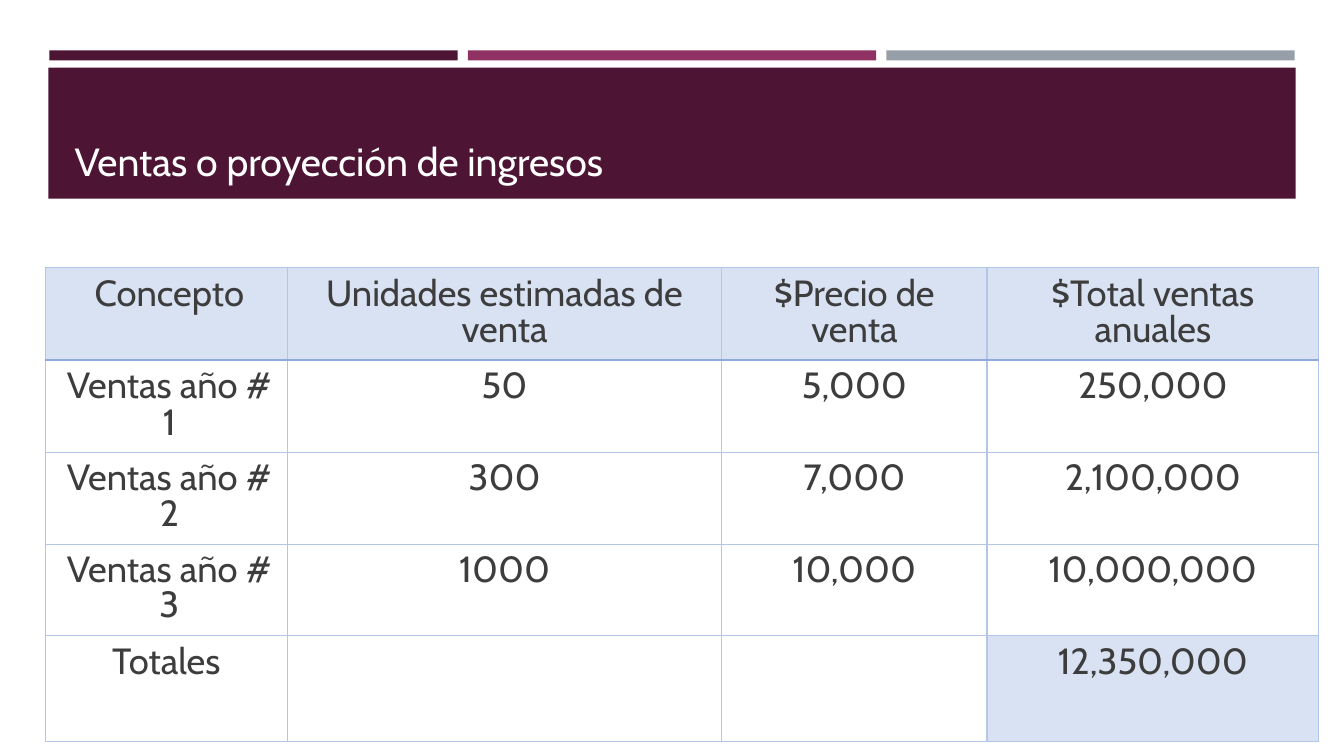
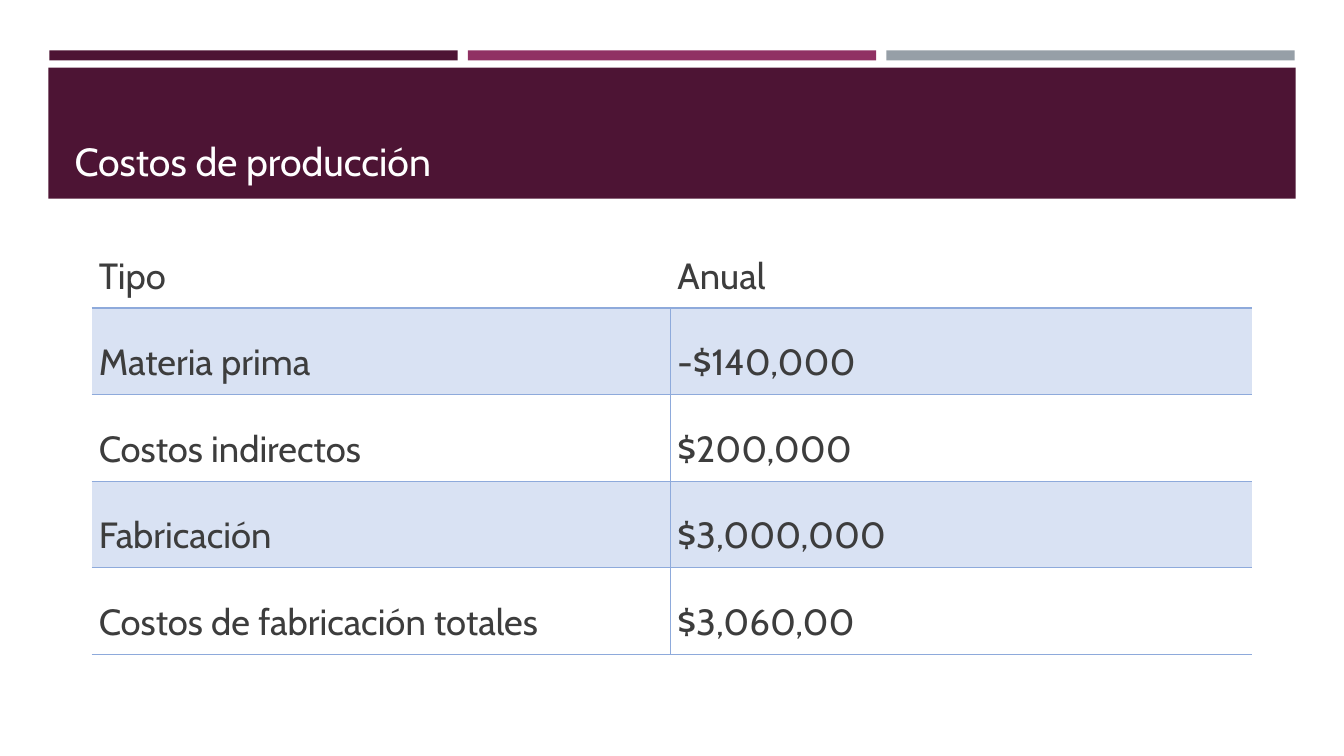
import pptx
import pptx.dml.color
import pptx.enum.shapes
import pptx.enum.text
import pptx.oxml
import pptx.oxml.ns
import pptx.util
from lxml import etree

Inches = pptx.util.Inches
Pt = pptx.util.Pt
RGBColor = pptx.dml.color.RGBColor
Align = pptx.enum.text.PP_ALIGN

PLUM = RGBColor(0x4D, 0x14, 0x34)
MAGENTA = RGBColor(0x90, 0x31, 0x63)
GRAY = RGBColor(0x96, 0x9F, 0xA7)
WHITE = RGBColor(0xFF, 0xFF, 0xFF)
INK = RGBColor(0x3D, 0x3D, 0x3D)
PALE_BLUE = RGBColor(0xD9, 0xE2, 0xF3)
LIGHT_LINE = RGBColor(0xB4, 0xC6, 0xE7)
BLUE_LINE = RGBColor(0x8E, 0xAA, 0xDB)
FONT = "Cabin"

TITLE_BOX = (0.64, 0.77, 12.06, 1.11)
BAND_BOX = (0.48, 0.67, 12.37, 1.3)
STRIPE_WIDTH, STRIPE_STEP = 4.05, 4.15

SALES = [
    ("Concepto", "Unidades estimadas de venta", "$Precio de venta", "$Total ventas anuales"),
    ("Ventas año # 1", "50", "5,000", "250,000"),
    ("Ventas año # 2", "300", "7,000", "2,100,000"),
    ("Ventas año # 3", "1000", "10,000", "10,000,000"),
    ("Totales", "", "", "12,350,000"),
]
COSTS = [
    ("Tipo", "Anual"),
    ("Materia prima", "-$140,000"),
    ("Costos indirectos", "$200,000"),
    ("Fabricación", "$3,000,000"),
    ("Costos de fabricación totales", "$3,060,00"),
]


def write_text(frame, text, size=26, color=INK, align=Align.LEFT, spacing=1.0, before=0, indent=0):
    """Write one formatted paragraph into a text frame."""
    para = frame.paragraphs[0]
    para.alignment = align
    para.line_spacing = spacing
    para.space_before = Pt(before)
    if indent:
        para._p.get_or_add_pPr().set("marL", str(Inches(indent)))
    span = para.add_run()
    span.text = text
    span.font.name = FONT
    span.font.size = Pt(size)
    span.font.color.rgb = color


def add_bar(page, box, color):
    """Add a plain filled rectangle and return it."""
    bar = page.shapes.add_shape(
        pptx.enum.shapes.MSO_SHAPE.RECTANGLE, *map(Inches, box))
    bar.shadow.inherit = False
    bar.fill.solid()
    bar.fill.fore_color.rgb = color
    bar.line.fill.background()
    return bar


def dress_layout(page):
    """Move the shared stripes and title band into the layout of a page."""
    title, *extras = page.slide_layout.placeholders
    for extra in extras:
        extra.element.getparent().remove(extra.element)
    bars = [add_bar(page, (0.49 + index * STRIPE_STEP, 0.5, STRIPE_WIDTH, 0.1), color)
            for index, color in enumerate((PLUM, MAGENTA, GRAY))]
    bars.append(add_bar(page, BAND_BOX, PLUM))
    for bar in bars:
        title.element.addprevious(bar.element)


def set_title(page, text):
    """Place and format the title placeholder."""
    title = page.shapes.title
    title.left, title.top, title.width, title.height = map(Inches, TITLE_BOX)
    frame = title.text_frame
    frame.word_wrap = True
    frame.auto_size = pptx.enum.text.MSO_AUTO_SIZE.NONE
    frame.vertical_anchor = pptx.enum.text.MSO_ANCHOR.BOTTOM
    write_text(frame, text, size=28, color=WHITE)


def set_borders(cell, **sides):
    """Draw the given sides as (color, points) and clear the others."""
    properties = cell._tc.get_or_add_tcPr()
    qn = pptx.oxml.ns.qn
    for side in "LRTB":
        line = etree.SubElement(properties, qn("a:ln" + side))
        if sides.get(side):
            color, points = sides[side]
            line.set("w", str(Pt(points)))
            fill = etree.SubElement(line, qn("a:solidFill"))
            etree.SubElement(fill, qn("a:srgbClr")).set("val", str(color))
        else:
            etree.SubElement(line, qn("a:noFill"))


def add_grid(page, left, top, widths, heights, rows, style_cell):
    """Add a table whose cells are styled by row and column."""
    grid = page.shapes.add_table(
        len(rows), len(widths), Inches(left), Inches(top),
        Inches(sum(widths)), Inches(sum(heights))).table
    grid.first_row = grid.horz_banding = False
    for column, width in zip(grid.columns, widths):
        column.width = Inches(width)
    for row_index, (row, height) in enumerate(zip(rows, heights)):
        grid.rows[row_index].height = Inches(height)
        for column_index, text in enumerate(row):
            cell = grid.cell(row_index, column_index)
            cell.margin_left = cell.margin_right = Inches(0.07)
            cell.margin_top = cell.margin_bottom = Inches(0.1)
            fill, borders, text_format = style_cell(row_index, column_index)
            set_borders(cell, **borders)
            if fill is None:
                cell.fill.background()
            else:
                cell.fill.solid()
                cell.fill.fore_color.rgb = fill
            if text:
                write_text(cell.text_frame, text, **text_format)


def style_sales(row, column):
    """Give fill, borders and text format of a sales cell."""
    last = len(SALES) - 1
    thin, thick = (LIGHT_LINE, 1), (BLUE_LINE, 1.5)
    shaded = row == 0 or (row, column) == (last, 3)
    borders = {"L": thin, "R": thin,
               "T": thick if row == 1 else thin,
               "B": thick if row == 0 else thin}
    text_format = {"align": Align.CENTER,
                   "spacing": 0.82 if row < 2 else 0.8,
                   "indent": 0.06 if column == 0 and row < last else 0}
    return PALE_BLUE if shaded else None, borders, text_format


def style_costs(row, column):
    """Give fill, borders and text format of a cost cell."""
    thin, thick = (BLUE_LINE, 1), (BLUE_LINE, 1.5)
    borders = {"B": thin if row else thick}
    if row:
        borders["T"] = thick if row == 1 else thin
        borders["L" if column else "R"] = thin
    text_format = {"align": Align.JUSTIFY, "spacing": 1.5, "before": 12}
    return PALE_BLUE if row % 2 else None, borders, text_format


def build_sales(page):
    """Build the sales projection slide."""
    set_title(page, "Ventas o proyección de ingresos")
    add_grid(page, 0.45, 2.65, (2.4, 4.31, 2.63, 3.29),
             [0.91] * 4 + [1.05], SALES, style_sales)


def build_costs(page):
    """Build the production costs slide."""
    set_title(page, "Costos de producción")
    add_grid(page, 0.91, 2.2, (5.74, 5.77), [0.85] * 5, COSTS, style_costs)


def main():
    """Build and save the deck."""
    deck = pptx.Presentation()
    deck.slide_width, deck.slide_height = Inches(13.33), Inches(7.5)
    layout = deck.slide_layouts[5]
    for index, build in enumerate((build_sales, build_costs)):
        page = deck.slides.add_slide(layout)
        if index == 0:
            dress_layout(page)
        build(page)
    deck.save("out.pptx")


if __name__ == "__main__":
    main()
